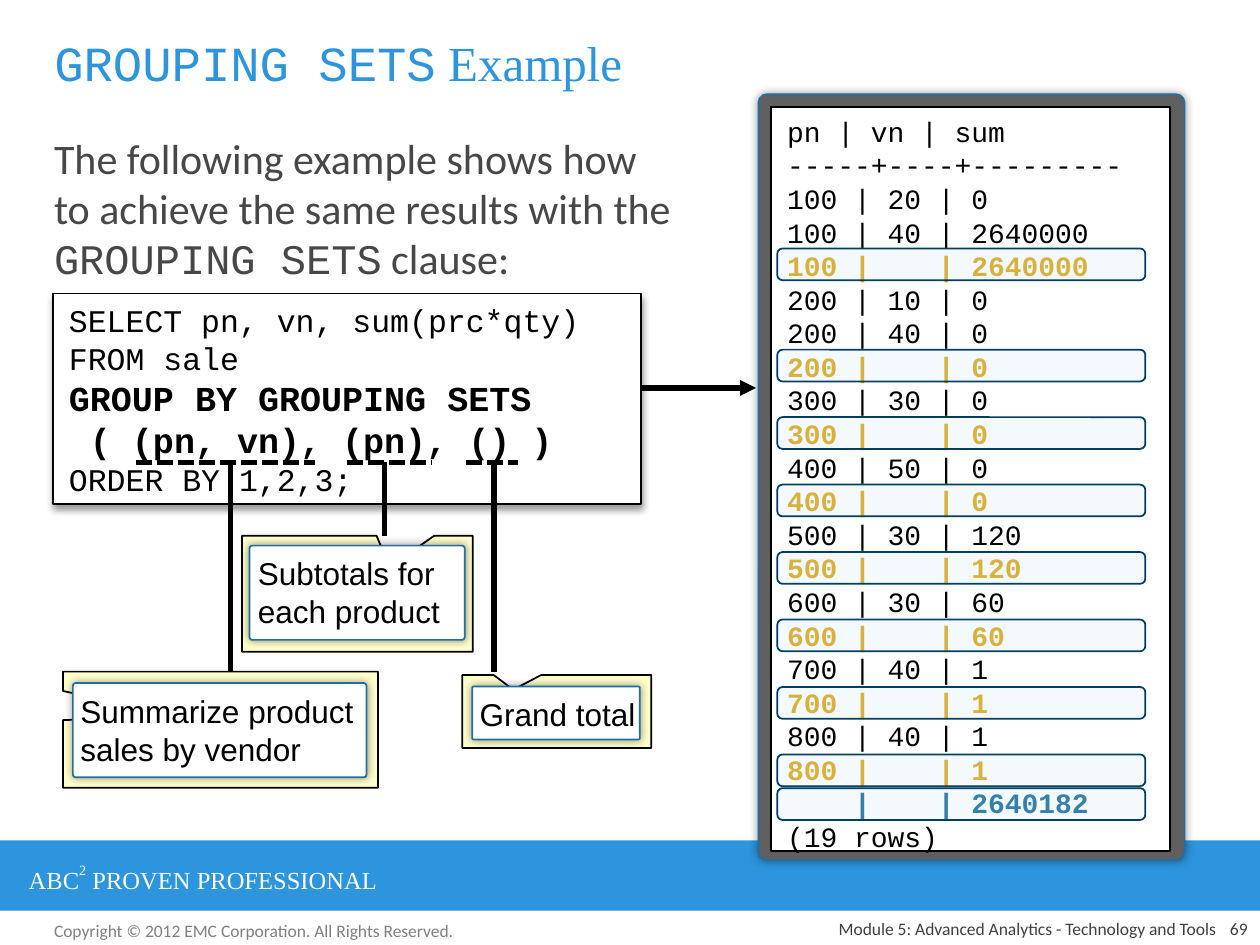
from dataclasses import dataclass

from lxml.etree import SubElement
from pptx import Presentation
from pptx.dml.color import RGBColor
from pptx.enum.dml import MSO_LINE
from pptx.enum.shapes import MSO_CONNECTOR as CONN, MSO_SHAPE as SHAPE
from pptx.enum.text import MSO_ANCHOR as ANCHOR, PP_ALIGN as ALIGN
from pptx.oxml.ns import qn
from pptx.util import Cm, Pt


@dataclass(frozen=True)
class Theme:
    """Colours, fonts and type sizes."""
    blue: str = "2C95DD"
    edge: str = "216EA3"
    navy: str = "003F62"
    pale: str = "D5EAF8"
    cream: str = "FFFFCC"
    gold: str = "DBA000"
    total: str = "005E92"
    frame: str = "5F5F5F"
    body: str = "474747"
    dark: str = "404040"
    grey: str = "808080"
    black: str = "000000"
    white: str = "FFFFFF"
    sans: str = "Calibri"
    label: str = "Arial"
    serif: str = "Times New Roman"
    mono: str = "Courier New"
    title_size: int = 28
    body_size: int = 24
    strong_size: int = 20
    code_size: int = 18
    result_size: int = 16
    band_size: int = 14
    foot_size: int = 10


T = Theme()

QUERY = [
    [("SELECT pn, vn, sum(prc*qty)", {})],
    [("FROM sale", {})],
    [("GROUP BY GROUPING SETS\n ( (pn, vn), (pn), () )", {"size": T.strong_size, "bold": True})],
    [("ORDER BY 1,2,3;", {})],
]

RESULT = """pn | vn | sum
-----+----+---------
100 | 20 | 0
100 | 40 | 2640000
100 |    | 2640000
200 | 10 | 0
200 | 40 | 0
200 |    | 0
300 | 30 | 0
300 |    | 0
400 | 50 | 0
400 |    | 0
500 | 30 | 120
500 |    | 120
600 | 30 | 60
600 |    | 60
700 | 40 | 1
700 |    | 1
800 | 40 | 1
800 |    | 1
    |    | 2640182
(19 rows)""".split("\n")


def style_run(r, font, size, color, bold=False, base=0):
    """Format one run."""
    r.font.name, r.font.size, r.font.bold = font, Pt(size), bold
    r.font.color.rgb = RGBColor.from_string(color)
    if base:
        r.font._element.set("baseline", str(base * 1000))


def write(sp, text, align=ALIGN.LEFT, anchor=ANCHOR.TOP, right=0.25, **fmt):
    """Fill a shape with a string or with paragraphs of (text, format) runs."""
    tf = sp.text_frame
    tf.word_wrap, tf.vertical_anchor, tf.margin_right = True, anchor, Cm(right)
    paras = [[(text, {})]] if isinstance(text, str) else text
    for i, runs in enumerate(paras):
        p = tf.paragraphs[0] if i == 0 else tf.add_paragraph()
        p.alignment, p.space_before = align, Pt(0)
        for part, extra in runs:
            for j, line in enumerate(part.split("\n")):
                if j:
                    p.add_line_break()
                if line:
                    r = p.add_run()
                    r.text = line
                    style_run(r, **{**fmt, **extra})


class SlideBuilder:
    """Theme, current slide and one method for each kind of element."""

    def __init__(self, prs, theme):
        self.theme = theme
        self.s = prs.slides.add_slide(prs.slide_layouts[5])

    def title(self, box, runs, **fmt):
        """Place and fill the title placeholder."""
        sp = self.s.shapes.title
        sp.left, sp.top, sp.width, sp.height = map(Cm, box)
        write(sp, runs, anchor=ANCHOR.MIDDLE, **fmt)

    def text(self, box, text, **fmt):
        """Add a text box."""
        write(self.s.shapes.add_textbox(*map(Cm, box)), text, **fmt)

    def shape(self, box, fill, line=None, kind=SHAPE.RECTANGLE, adj=(), alpha=None, shadow=None):
        """Add a preset shape; shadow is (blur, distance, direction)."""
        sp = self.s.shapes.add_shape(kind, *map(Cm, box))
        sp.shadow.inherit = False
        for i, value in enumerate(adj):
            sp.adjustments[i] = value
        sp.fill.solid()
        sp.fill.fore_color.rgb = RGBColor.from_string(fill)
        if alpha:
            clr = sp._element.spPr.find(qn("a:solidFill"))[0]
            SubElement(clr, qn("a:alpha"), val=str(alpha * 1000))
        if line:
            sp.line.color.rgb, sp.line.width = RGBColor.from_string(line), Pt(1)
        else:
            sp.line.fill.background()
        if shadow:
            blur, dist, angle = shadow
            effects = sp._element.spPr.find(qn("a:effectLst"))
            shdw = SubElement(effects, qn("a:outerShdw"), blurRad=str(Pt(blur)), dist=str(Pt(dist)),
                              dir=str(angle * 60000), algn="ctr", rotWithShape="0")
            clr = SubElement(shdw, qn("a:srgbClr"), val=self.theme.black)
            SubElement(clr, qn("a:alpha"), val="40000")

    def line(self, x1, y1, x2, y2, dash=None, arrow=False):
        """Add a straight black line."""
        c = self.s.shapes.add_connector(CONN.STRAIGHT, *map(Cm, (x1, y1, x2, y2)))
        c.line.color.rgb, c.line.width = RGBColor.from_string(self.theme.black), Pt(3)
        if dash:
            c.line.dash_style = dash
        if arrow:
            SubElement(c.line._get_or_add_ln(), qn("a:tailEnd"), type="triangle")
        SubElement(c._element.spPr, qn("a:effectLst"))

    def callout(self, outer, inner, label, adj, text):
        """Add a callout frame, its inner panel and its label."""
        t = self.theme
        self.shape(outer, t.cream, t.black, SHAPE.RECTANGULAR_CALLOUT, adj)
        self.shape(inner, t.white, t.edge, SHAPE.ROUNDED_RECTANGLE, (0.03,), shadow=(5, 0, 0))
        self.text(label, text, font=t.label, size=t.code_size, color=t.black, right=0)


def result_color(row):
    """Return the colour of a result row, black for details."""
    if "|    |" not in row:
        return T.black
    return T.total if row.startswith(" ") else T.gold


def add_footer(b):
    """Add the band, the copyright line and the page references."""
    b.text((0.84, 18.42, 8.69, 0.69), "Copyright © 2012 EMC Corporation. All Rights Reserved.",
           font=T.sans, size=T.foot_size, color=T.grey)
    b.shape((0, 16.94, 25.4, 1.42), T.blue)
    b.text((0.33, 17.25, 9.4, 0.86), [[("ABC", {}), ("2", {"base": 56}), (" PROVEN PROFESSIONAL", {})]],
           font=T.serif, size=T.band_size, color=T.white)
    for box, text in (((24.13, 18.42, 1.27, 0.64), "69"),
                      ((13.13, 18.42, 11.63, 0.64), "Module 5: Advanced Analytics - Technology and Tools")):
        b.text(box, text, align=ALIGN.RIGHT, anchor=ANCHOR.BOTTOM,
               font=T.sans, size=T.foot_size, color=T.dark)


def add_query(b):
    """Add the query panel and the arrow to its result."""
    b.shape((1.07, 5.92, 11.86, 4.24), T.white, T.black, shadow=(4, 3, 90))
    b.text((1.14, 5.94, 11.63, 4.27), QUERY, font=T.mono, size=T.code_size, color=T.black)
    b.line(12.9, 7.82, 15.24, 7.82, arrow=True)


def add_result(b):
    """Add the framed result with its subtotal rows highlighted."""
    b.shape((15.29, 1.9, 8.59, 15.44), T.frame, T.edge, SHAPE.ROUNDED_RECTANGLE, (0.02,), shadow=(5, 0, 0))
    b.shape((15.54, 2.16, 8.05, 14.99), T.white, T.black)
    colors = [result_color(row) for row in RESULT]
    rows = [[(row, {"color": c, "bold": c != T.black})] for row, c in zip(RESULT, colors)]
    b.text((15.62, 2.18, 7.65, 15.29), rows, font=T.mono, size=T.result_size, color=T.black)
    for i, color in enumerate(colors):
        if color != T.black:
            b.shape((15.67, 2.29 + 0.68 * i, 7.42, 0.64), T.pale, T.navy, SHAPE.ROUNDED_RECTANGLE, alpha=25)


def add_callouts(b):
    """Explain each grouping set below the query."""
    b.callout((1.27, 13.54, 6.35, 2.34), (1.47, 13.77, 5.92, 1.9), (1.37, 13.82, 6.07, 1.8),
              (-0.11, -0.1), "Summarize product\nsales by vendor")
    b.callout((4.88, 10.8, 4.65, 2.34), (5.03, 11, 4.34, 1.9), (4.95, 11.05, 4.37, 1.8),
              (0.14, -0.23), "Subtotals for each product")
    b.callout((9.32, 13.61, 3.81, 1.47), (9.52, 13.84, 3.38, 1.07), (9.42, 13.89, 3.68, 1.02),
              (-0.23, -0.3), "Grand total")
    y = 9.32
    for start, end, stem, bottom in ((2.74, 6.35, 4.65, 13.54), (6.99, 8.69, 7.75, 10.8),
                                     (9.4, 10.44, 9.96, 13.54)):
        b.line(start, y, end, y, dash=MSO_LINE.SQUARE_DOT)
        b.line(stem, y, stem, bottom)


def main():
    """Build the slide and save it."""
    prs = Presentation()
    prs.slide_width, prs.slide_height = Cm(25.4), Cm(19.05)
    b = SlideBuilder(prs, T)
    add_footer(b)
    b.title((0.84, 0.2, 23.5, 2.11), [[("GROUPING SETS", {"font": T.mono}), (" Example", {})]],
            font=T.serif, size=T.title_size, color=T.blue)
    b.text((0.84, 2.54, 23.5, 14.4),
           [[("The following example shows how\nto achieve the same results with the\n", {}),
             ("GROUPING SETS", {"font": T.mono}), (" clause:", {})]],
           font=T.sans, size=T.body_size, color=T.body)
    add_query(b)
    add_result(b)
    add_callouts(b)
    prs.save("out.pptx")


if __name__ == "__main__":
    main()
